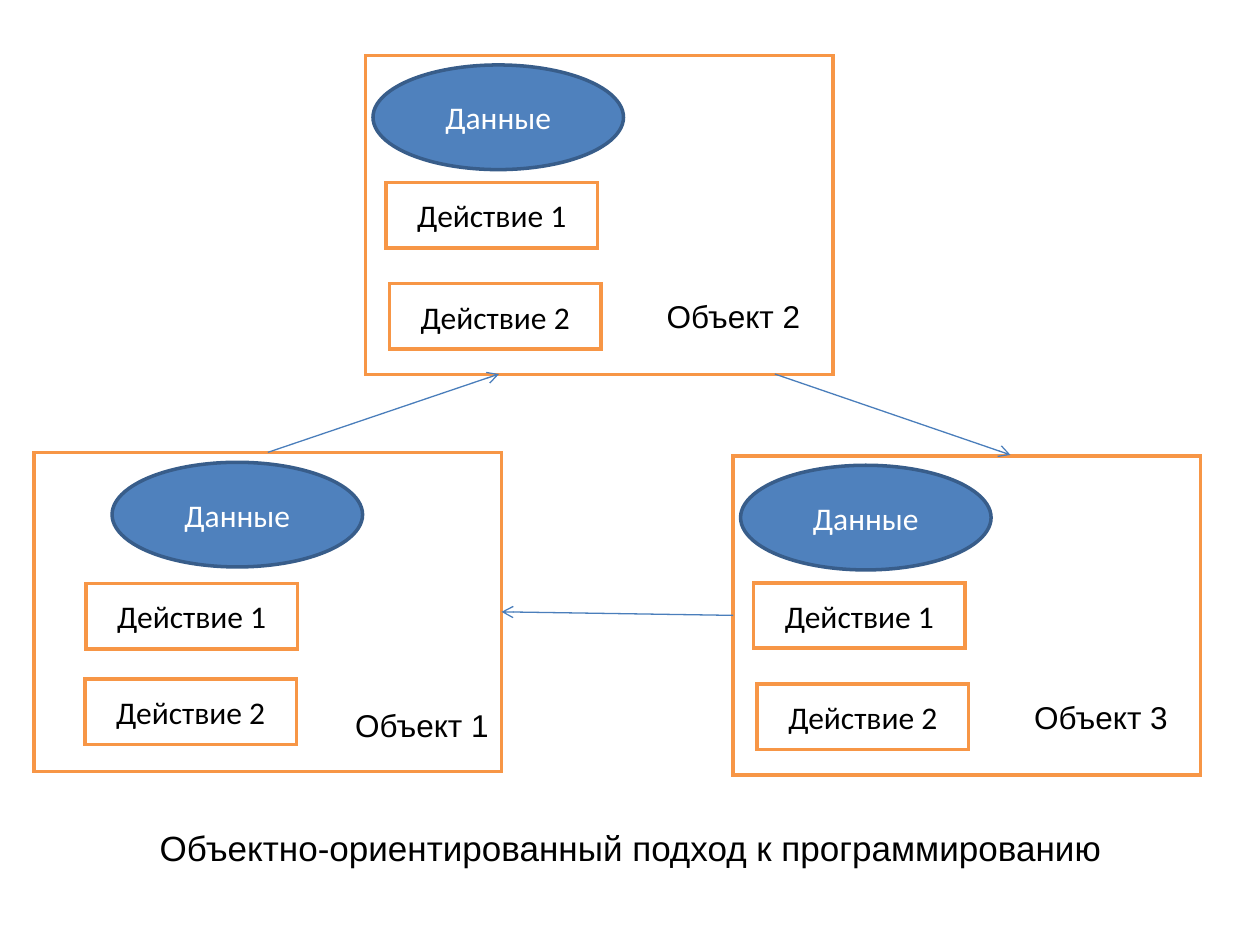
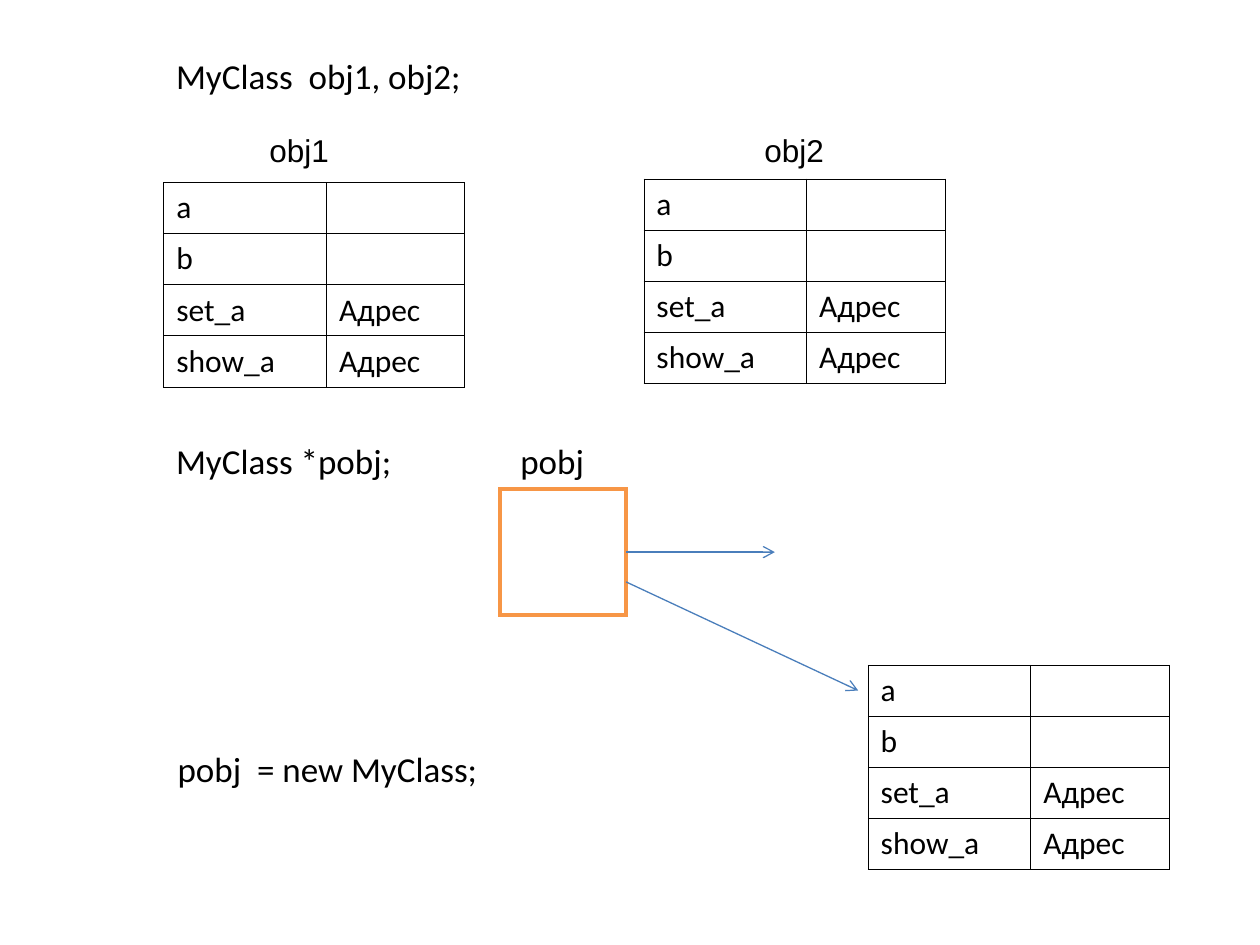
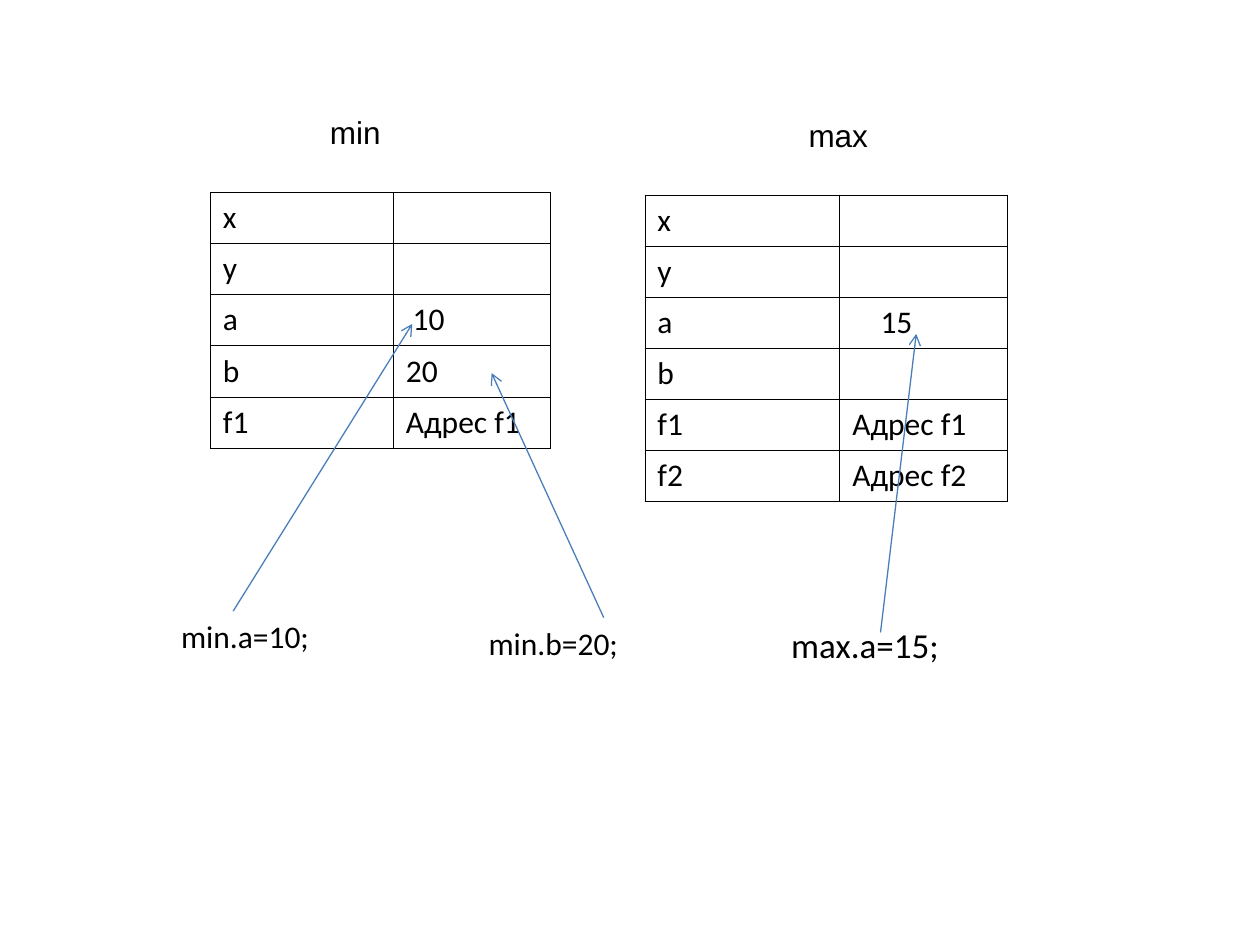
from pptx import Presentation
from pptx import util as u
from pptx.dml.color import RGBColor
from pptx.enum import shapes, text
from pptx.oxml import parse_xml
from pptx.oxml.ns import nsdecls, qn

Cm, Pt = u.Cm, u.Pt
WHITE = RGBColor(0xFF, 0xFF, 0xFF)
BLACK = RGBColor(0, 0, 0)
ORANGE = RGBColor(0xF7, 0x96, 0x46)
BLUE = RGBColor(0x4F, 0x81, 0xBD)
NAVY = RGBColor(0x38, 0x5D, 0x8A)
ARROW = RGBColor(0x4A, 0x7E, 0xBB)
RECT, OVAL = shapes.MSO_SHAPE.RECTANGLE, shapes.MSO_SHAPE.OVAL
SANS, CODE = "Arial", "Calibri"

FRAME, DATA, ACTION = (9.42, 6.43), (5.05, 2.11), (4.27, 1.32)
INNER = [(0.15, 0.19), (0.41, 2.56), (0.48, 4.6), (5.82, 4.75)]
OBJECTS = [
    ("Объект 1", 0.69, 9.12, [(1.57, 0.2), (1.04, 2.64), (1.02, 4.57), (6.22, 4.98)]),
    ("Объект 2", 7.37, 1.12, INNER),
    ("Объект 3", 14.78, 9.19, INNER),
]
CAPTION = ("Объектно-ориентированный подход к программированию", 2.97, 16.54, 19.56, 20, SANS, False)

FIELDS = [("a", ""), ("b", ""), ("set_a", "Адрес"), ("show_a", "Адрес")]
COLS = (3.28, 2.79)
PLACES = [(3.3, 3.68), (12.98, 3.61), (17.5, 13.41)]
POINTER = (10.08, 9.86, 2.54, 2.54)
CLASS_NOTES = [
    ("obj1", 5.18, 2.51, 1.75, 18, SANS, False),
    ("obj2", 15.16, 2.51, 1.75, 18, SANS, False),
    ("MyClass  obj1, obj2;", 3.3, 0.97, 12.7, 20, CODE, True),
    ("MyClass *pobj;", 3.3, 8.74, 6.6, 20, CODE, True),
    ("pobj", 10.24, 8.74, 2.25, 20, CODE, True),
    ("pobj  = new MyClass;", 3.33, 14.94, 6.6, 20, CODE, False),
]

MIN = [("x", ""), ("y", ""), ("a", "10"), ("b", "20"), ("f1", "Адрес f1")]
MAX = [("x", ""), ("y", ""), ("a", "15"), ("b", ""), ("f1", "Адрес f1"), ("f2", "Адрес f2")]
INDENT = {"10": 0.14, "15": 0.57}
VALUE_NOTES = [
    ("min", 6.4, 2.16, 1.75, 18, SANS, False),
    ("max", 16.05, 2.21, 1.75, 18, SANS, False),
    ("min.a=10;", 3.4, 12.32, 4.88, 18, CODE, True),
    ("min.b=20;", 9.6, 12.45, 4.34, 18, CODE, True),
    ("max.a=15;", 15.7, 12.45, 3.55, 20, CODE, False),
]
VALUE_ARROWS = [
    (4.7, 12.32, 8.31, 6.53),
    (12.17, 12.45, 9.91, 7.52),
    (17.75, 12.75, 18.47, 6.73),
]


def write(frame, words, size, font, color):
    frame.text = words
    for run in frame.paragraphs[0].runs:
        run.font.size = Pt(size)
        run.font.name = font
        run.font.color.rgb = color


def note(slide, words, x, y, w, size, font, wrap):
    box = slide.shapes.add_textbox(Cm(x), Cm(y), Cm(w), Cm(size * 0.056))
    box.text_frame.word_wrap = wrap
    write(box.text_frame, words, size, font, BLACK)


def extend(shape, tag):
    line = shape._element.spPr.find(qn("a:ln"))
    line.append(parse_xml(f'<a:{tag} {nsdecls("a")}/>'))
    return line[-1]


def block(slide, kind, x, y, w, h, words="", fill=WHITE, edge=ORANGE, ink=BLACK):
    shape = slide.shapes.add_shape(kind, Cm(x), Cm(y), Cm(w), Cm(h))
    shape.shadow.inherit = False
    shape.fill.solid()
    shape.fill.fore_color.rgb = fill
    shape.line.color.rgb = edge
    shape.line.width = Pt(2)
    extend(shape, "miter").set("lim", "800000")
    if words:
        write(shape.text_frame, words, 18, CODE, ink)
        shape.text_frame.paragraphs[0].alignment = text.PP_ALIGN.CENTER
        shape.text_frame.vertical_anchor = text.MSO_ANCHOR.MIDDLE
    return shape


def arrow(slide, x1, y1, x2, y2):
    link = slide.shapes.add_connector(
        shapes.MSO_CONNECTOR.STRAIGHT, Cm(x1), Cm(y1), Cm(x2), Cm(y2))
    link.line.color.rgb = ARROW
    link.line.width = Pt(0.75)
    extend(link, "tailEnd").set("type", "arrow")
    link._element.spPr.append(parse_xml(f'<a:effectLst {nsdecls("a")}/>'))
    return link


def border(cell):
    props = cell._tc.get_or_add_tcPr()
    for i, side in enumerate("LRTB"):
        props.insert(i, parse_xml(
            f'<a:ln{side} {nsdecls("a")} w="5715"><a:solidFill>'
            f'<a:srgbClr val="{BLACK}"/></a:solidFill></a:ln{side}>'))


def grid(slide, rows, x, y, cols):
    table = slide.shapes.add_table(
        len(rows), len(cols), Cm(x), Cm(y), Cm(sum(cols)), Cm(1.03 * len(rows))).table
    table.first_row = table.horz_banding = False
    for col, width in zip(table.columns, cols):
        col.width = Cm(width)
    for r, row in enumerate(rows):
        for c, words in enumerate(row):
            cell = table.cell(r, c)
            cell.fill.background()
            border(cell)
            write(cell.text_frame, words, 18, CODE, BLACK)
            if words in INDENT:
                cell.margin_left = Cm(0.25 + INDENT[words])


def objects(slide):
    frames = []
    for name, x, y, inner in OBJECTS:
        data, one, two, label = [(x + dx, y + dy) for dx, dy in inner]
        frames.append(block(slide, RECT, x, y, *FRAME))
        block(slide, OVAL, *data, *DATA, "Данные", BLUE, NAVY, WHITE)
        block(slide, RECT, *one, *ACTION, "Действие 1")
        block(slide, RECT, *two, *ACTION, "Действие 2")
        note(slide, name, *label, 3.2, 18, SANS, False)
    arrow(slide, 5.41, 9.12, 10.06, 7.54).begin_connect(frames[0], 0)
    arrow(slide, 15.62, 7.54, 20.37, 9.17)
    back = arrow(slide, 14.78, 12.4, 10.11, 12.33)
    back.begin_connect(frames[2], 1)
    back.end_connect(frames[0], 3)
    note(slide, *CAPTION)


def classes(slide):
    for x, y in PLACES:
        grid(slide, FIELDS, x, y, COLS)
    for item in CLASS_NOTES:
        note(slide, *item)
    box = block(slide, RECT, *POINTER)
    arrow(slide, 12.62, 11.13, 15.62, 11.13).begin_connect(box, 3)
    arrow(slide, 12.62, 11.73, 17.3, 13.92)


def values(slide):
    grid(slide, MIN, 4.24, 3.88, (3.69, 3.17))
    grid(slide, MAX, 13, 3.93, (3.93, 3.37))
    for item in VALUE_NOTES:
        note(slide, *item)
    for ends in VALUE_ARROWS:
        arrow(slide, *ends)


def main():
    deck = Presentation()
    deck.slide_width, deck.slide_height = Cm(25.4), Cm(19.05)
    for draw in (objects, classes, values):
        draw(deck.slides.add_slide(deck.slide_layouts[6]))
    deck.save("out.pptx")


if __name__ == "__main__":
    main()
